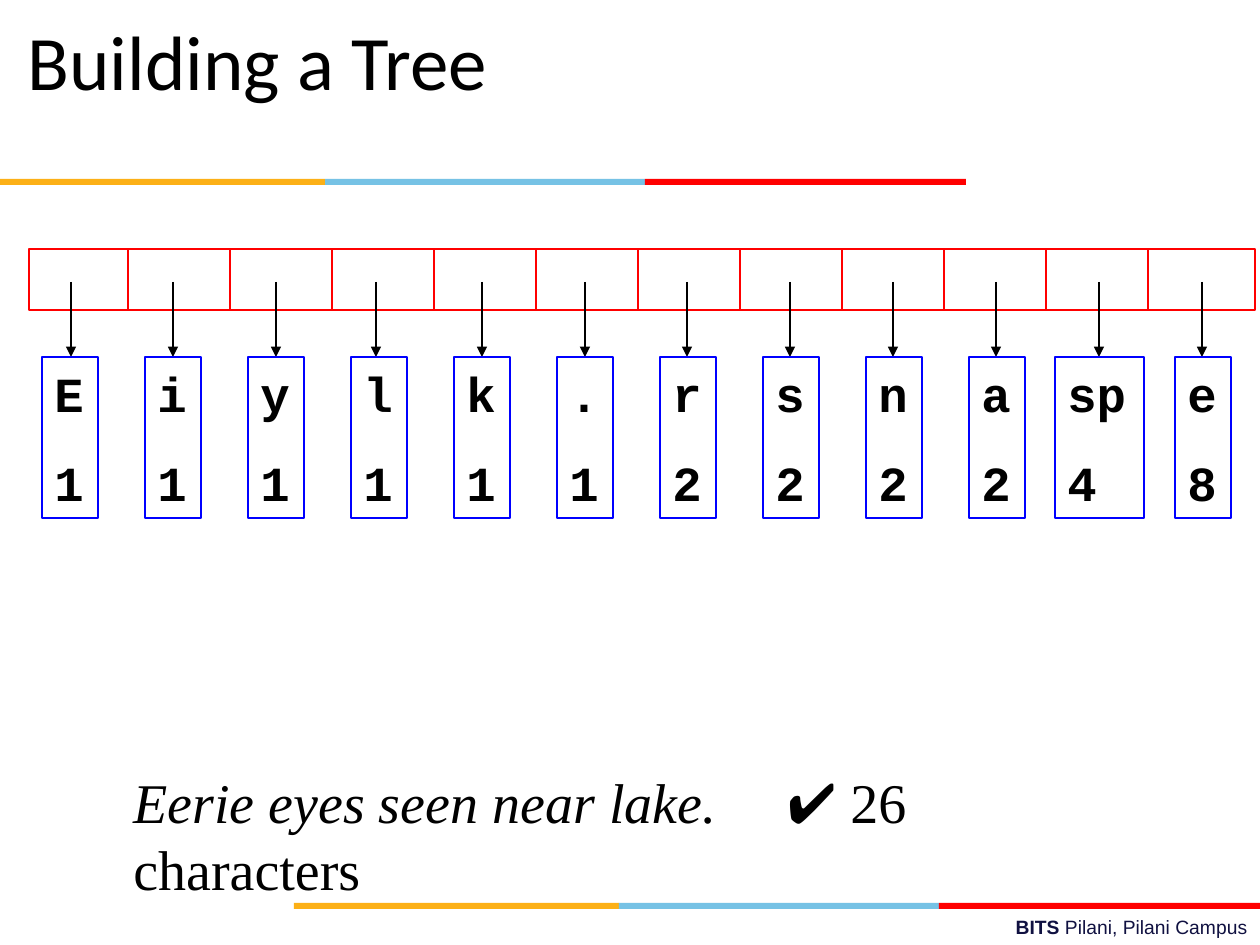
from dataclasses import dataclass
from typing import Optional

from lxml import etree
from pptx import Presentation
from pptx.dml.color import RGBColor
from pptx.enum.shapes import MSO_CONNECTOR, MSO_SHAPE
from pptx.enum.text import MSO_ANCHOR, MSO_AUTO_SIZE, PP_ALIGN
from pptx.oxml.ns import qn
from pptx.util import Pt

RECTANGLE = MSO_SHAPE.RECTANGLE
STRAIGHT = MSO_CONNECTOR.STRAIGHT
TOP = MSO_ANCHOR.TOP
LEFT = PP_ALIGN.LEFT
RIGHT = PP_ALIGN.RIGHT
NO_AUTOFIT = MSO_AUTO_SIZE.NONE

BLACK = RGBColor(0x00, 0x00, 0x00)
WHITE = RGBColor(0xFF, 0xFF, 0xFF)
RED = RGBColor(0xFF, 0x00, 0x00)
BLUE = RGBColor(0x00, 0x00, 0xFF)
NAVY = RGBColor(0x10, 0x11, 0x41)
YELLOW = RGBColor(0xFC, 0xB0, 0x17)
SKY = RGBColor(0x76, 0xC2, 0xE5)

PX_PER_INCH = 126
EMU_PER_INCH = 914400

QUEUE_TOP = 249
QUEUE_HEIGHT = 61
DIVIDER_START = 128
DIVIDER_STEP = 102
ARROW_TOP = 282
ARROW_START = 71
ARROW_SPAN = 1131
NODE_TOP = 357
NODE_START = 42
NODE_STEP = 103
NODE_HEIGHT = 161


@dataclass(frozen=True)
class Node:
    letter: str
    count: int
    width: int = 56
    left: Optional[int] = None
    arrow_x: Optional[int] = None


NODES = [
    Node("E", 1), Node("i", 1), Node("y", 1), Node("l", 1, arrow_x=376),
    Node("k", 1), Node(".", 1), Node("r", 2), Node("s", 2),
    Node("n", 2), Node("a", 2), Node("sp", 4, width=89, left=1055), Node("e", 8),
]


def px(length: int) -> int:
    return round(length * EMU_PER_INCH / PX_PER_INCH)


def add_span(para, text: str, *, font: str, size: int, color: RGBColor = BLACK,
             bold: bool = False, italic: bool = False) -> None:
    span = para.add_run()
    span.text = text
    span.font.name = font
    span.font.size = Pt(size)
    span.font.color.rgb = color
    span.font.bold = bold
    span.font.italic = italic


def set_up_frame(frame) -> None:
    frame.auto_size = NO_AUTOFIT
    frame.word_wrap = True
    frame.vertical_anchor = TOP


def add_text_box(slide, left: int, top: int, width: int, height: int):
    box = slide.shapes.add_textbox(px(left), px(top), px(width), px(height))
    set_up_frame(box.text_frame)
    return box.text_frame.paragraphs[0]


def add_box(slide, left: int, top: int, width: int, height: int, *,
            fill: Optional[RGBColor] = None, line: Optional[RGBColor] = None):
    box = slide.shapes.add_shape(RECTANGLE, px(left), px(top), px(width), px(height))
    box.shadow.inherit = False
    if fill is None:
        box.fill.background()
    else:
        box.fill.solid()
        box.fill.fore_color.rgb = fill
    if line is None:
        box.line.fill.background()
    else:
        box.line.color.rgb = line
        box.line.width = Pt(0.75)
    return box


def add_vertical(slide, x: int, top: int, bottom: int, color: RGBColor,
                 arrow: bool = False) -> None:
    line = slide.shapes.add_connector(STRAIGHT, px(x), px(top), px(x), px(bottom))
    line.line.color.rgb = color
    line.line.width = Pt(0.75)
    if arrow:
        outline = line.line._get_or_add_ln()
        etree.SubElement(outline, qn("a:tailEnd"), type="triangle")
    etree.SubElement(line._element.spPr, qn("a:effectLst"))


def add_stripe(slide, left: int, top: int) -> None:
    for color, width in ((YELLOW, 325), (SKY, 320), (RED, 321)):
        add_box(slide, left, top, width, 6, fill=color)
        left += width


def add_title(slide) -> None:
    title = slide.shapes.title
    title.left, title.top = px(15), px(7)
    title.width, title.height = px(1134), px(158)
    set_up_frame(title.text_frame)
    para = title.text_frame.paragraphs[0]
    para.alignment = LEFT
    add_span(para, "Building a Tree", font="Calibri", size=44)


def add_queue(slide) -> None:
    add_box(slide, 29, QUEUE_TOP, 1226, QUEUE_HEIGHT, fill=WHITE, line=RED)
    for index in range(len(NODES) - 1):
        add_vertical(slide, DIVIDER_START + index * DIVIDER_STEP,
                     QUEUE_TOP, QUEUE_TOP + QUEUE_HEIGHT, RED)


def add_node(slide, index: int, node: Node) -> None:
    arrow_x = node.arrow_x or ARROW_START + index * ARROW_SPAN // (len(NODES) - 1)
    add_vertical(slide, arrow_x, ARROW_TOP, NODE_TOP, BLACK, arrow=True)
    left = node.left or NODE_START + index * NODE_STEP
    box = add_box(slide, left, NODE_TOP, node.width, NODE_HEIGHT, line=BLUE)
    frame = box.text_frame
    set_up_frame(frame)
    letter_para = frame.paragraphs[0]
    count_para = frame.add_paragraph()
    count_para.space_before = Pt(17.5)
    for para, text in ((letter_para, node.letter), (count_para, str(node.count))):
        para.alignment = LEFT
        add_span(para, text, font="Courier New", size=28, bold=True)


def add_sentence(slide) -> None:
    para = add_text_box(slide, 121, 761, 1027, 142)
    tabs = etree.SubElement(para._p.get_or_add_pPr(), qn("a:tabLst"))
    etree.SubElement(tabs, qn("a:tab"), pos=str(px(654)), algn="l")
    add_span(para, "Eerie eyes seen near lake.\t", font="Times New Roman",
             size=32, italic=True)
    add_span(para, "✔", font="Arial", size=32)
    add_span(para, " 26 characters", font="Times New Roman", size=32)


def add_footer(slide) -> None:
    para = add_text_box(slide, 451, 909, 809, 36)
    para.alignment = RIGHT
    add_span(para, "BITS ", font="Arial", size=11, color=NAVY, bold=True)
    add_span(para, "Pilani, Pilani Campus", font="Arial", size=11, color=NAVY)


def main() -> None:
    deck = Presentation()
    deck.slide_width, deck.slide_height = px(1260), px(945)
    page = deck.slides.add_slide(deck.slide_layouts[5])
    add_footer(page)
    add_stripe(page, 294, 903)
    add_stripe(page, 0, 179)
    add_title(page)
    add_queue(page)
    for index, node in enumerate(NODES):
        add_node(page, index, node)
    add_sentence(page)
    deck.save("out.pptx")


if __name__ == "__main__":
    main()
